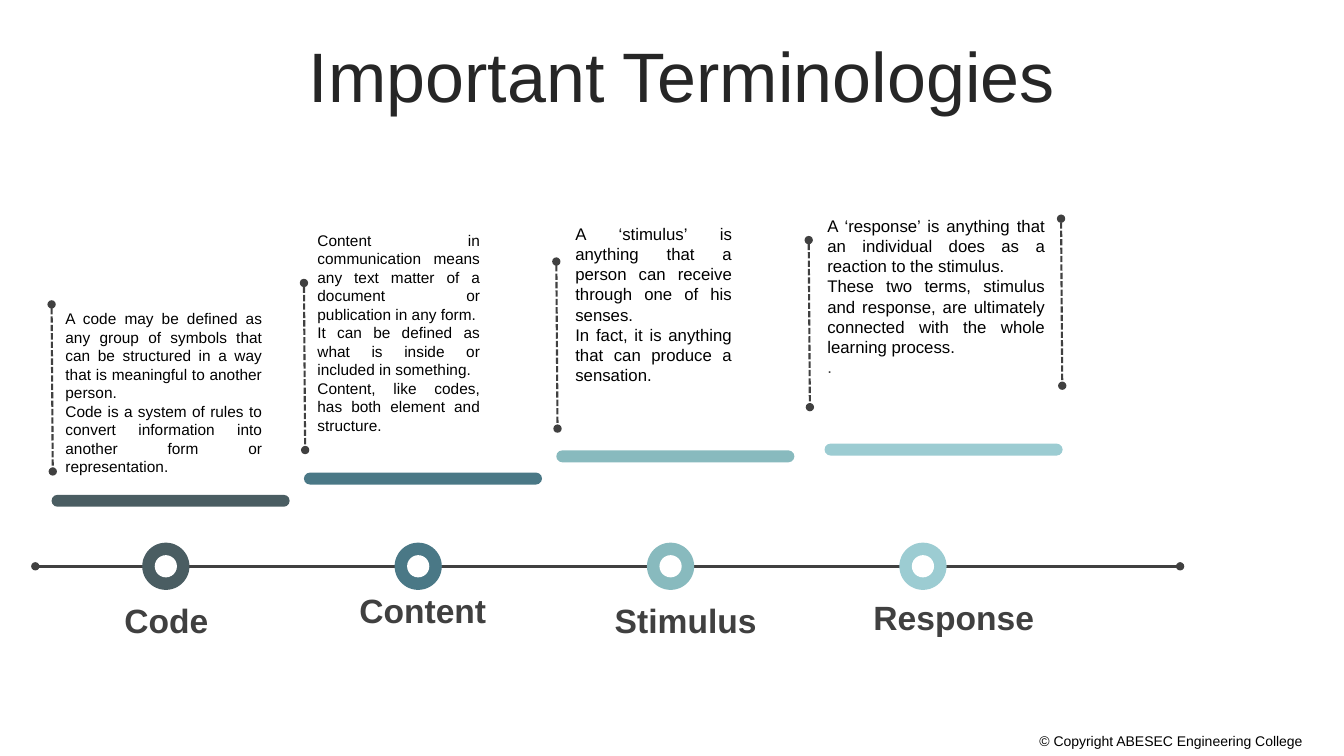
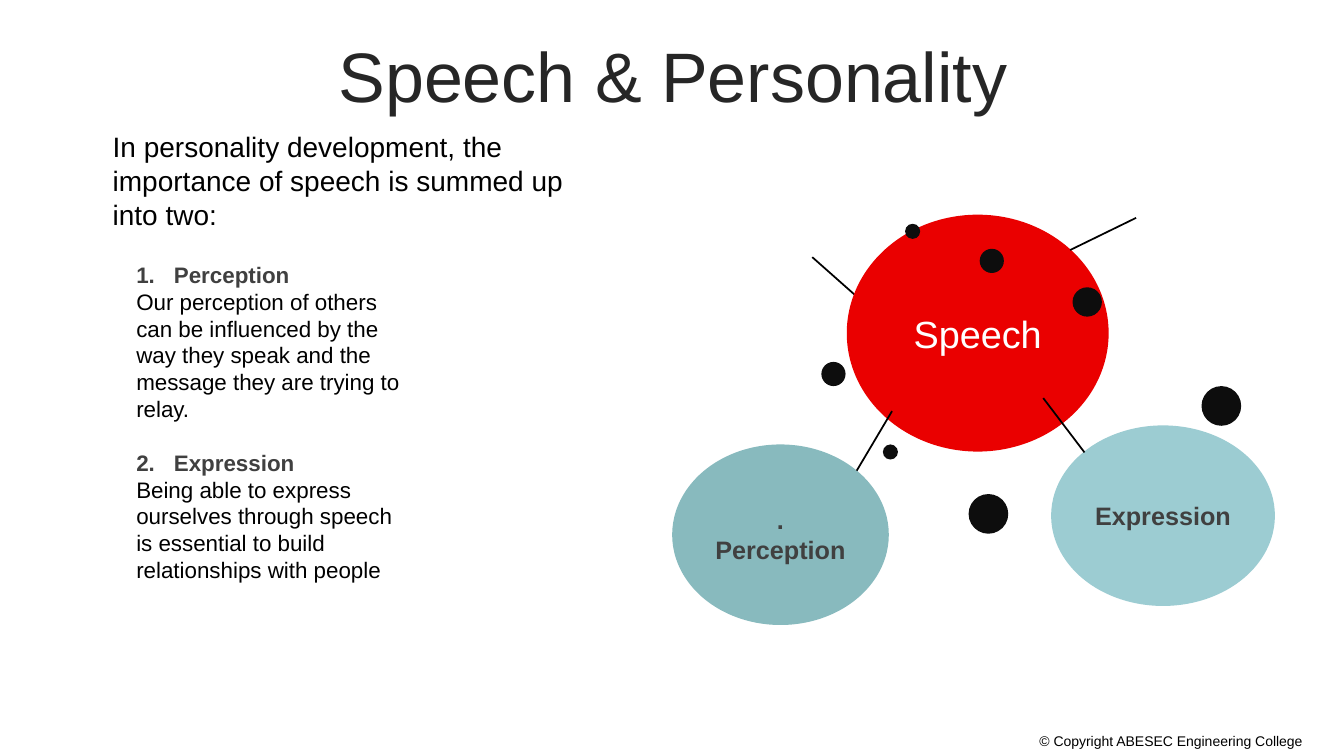
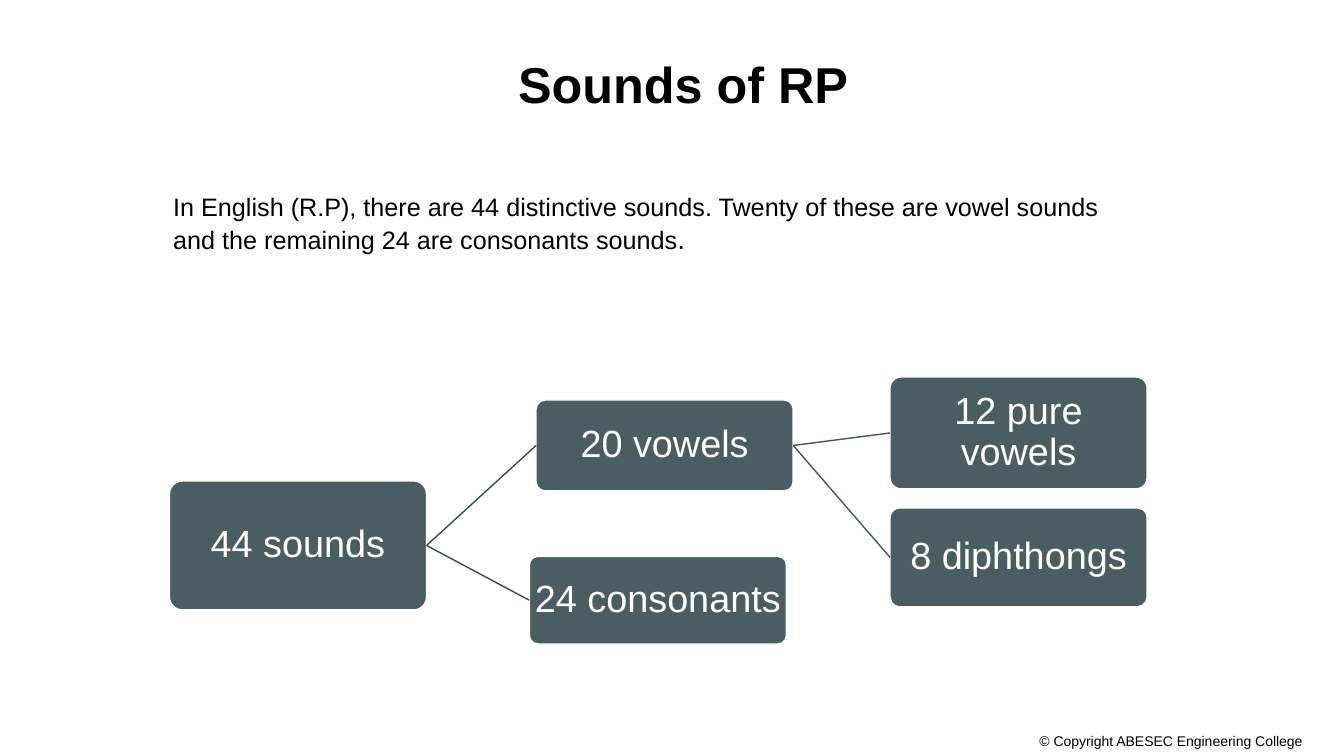
"""Build three communication-skills slides: terminologies, speech and sounds."""
from dataclasses import dataclass

import pptx
import pptx.dml.color
import pptx.enum.dml
import pptx.enum.shapes
import pptx.enum.text
import pptx.oxml.ns
import pptx.util
from lxml import etree

Cm = pptx.util.Cm
Pt = pptx.util.Pt
ALIGN = pptx.enum.text.PP_ALIGN
ANCHOR = pptx.enum.text.MSO_ANCHOR
SHAPE = pptx.enum.shapes.MSO_SHAPE
qn = pptx.oxml.ns.qn


@dataclass(frozen=True)
class Theme:
    """Colours, font and type sizes of the deck."""
    font: str = "Arial"
    black: str = "000000"
    white: str = "FFFFFF"
    title: str = "262626"
    grey: str = "404040"
    slate: str = "4A5D62"
    teal: str = "4A7886"
    sage: str = "88BABE"
    sky: str = "9CCCD2"
    red: str = "EA0000"
    dot: str = "0D0D0D"
    first_link: str = "3B4A4E"
    second_link: str = "435459"
    title_size: float = 50
    small_title_size: float = 36
    node_size: float = 27
    label_size: float = 24
    intro_size: float = 20
    text_size: float = 18
    list_size: float = 16
    note_size: float = 12
    small_note_size: float = 11
    footer_size: float = 10


THEME = Theme()


@dataclass(frozen=True)
class Milestone:
    """One term on the timeline with its label, bar and note."""
    name: str
    color: str
    label_top: float
    label_width: float
    bar_left: float
    bar_top: float
    note_box: tuple
    note_size: float
    note: tuple


PITCH = 6.36
STEM_LEFT = 1.3
MILESTONES = (
    Milestone("Code", THEME.slate, 15.11, 3.05, STEM_LEFT, 12.47,
              (1.4, 7.67, 5.46, 4.95), THEME.small_note_size,
              ("A code may be defined as any group of symbols that can be structured "
               "in a way that is meaningful to another person.",
               "Code is a system of rules to convert information into another form "
               "or representation.")),
    Milestone("Content", THEME.teal, 14.86, 3.25, STEM_LEFT + PITCH, 11.91,
              (7.75, 5.69, 4.6, 5.89), THEME.small_note_size,
              ("Content in communication means any text matter of a document or "
               "publication in any form.",
               "It can be defined as what is inside or included in something.",
               "Content, like codes, has both element and structure.")),
    Milestone("Stimulus", THEME.sage, 15.11, 3.78, STEM_LEFT + 2 * PITCH, 11.35,
              (14.25, 5.51, 4.45, 4.88), THEME.note_size,
              ("A ‘stimulus’ is anything that a person can receive through one of "
               "his senses.",
               "In fact, it is anything that can produce a sensation.")),
    Milestone("Response", THEME.sky, 15.04, 4.57, 20.78, 11.18,
              (20.6, 5.31, 5.99, 4.37), THEME.note_size,
              ("A ‘response’ is anything that an individual does as a reaction to "
               "the stimulus.",
               "These two terms, stimulus and response, are ultimately connected "
               "with the whole learning process.",
               ".")),
)


def rgb(color):
    """Turn a hex string into a colour."""
    return pptx.dml.color.RGBColor.from_string(color)


def lengths(box):
    """Turn a box in centimetres into lengths."""
    return [Cm(value) for value in box]


def add_run(para, text, size, color=THEME.black, bold=False):
    """Add one formatted run to a paragraph."""
    span = para.add_run()
    span.text = text
    span.font.name = THEME.font
    span.font.size = Pt(size)
    span.font.bold = bold
    span.font.color.rgb = rgb(color)


def new_para(frame, align=ALIGN.LEFT, space_before=0):
    """Return the empty first paragraph of a frame or a new one."""
    first = frame.paragraphs[0]
    para = frame.add_paragraph() if first.runs else first
    para.alignment = align
    para.space_before = Pt(space_before)
    return para


def set_bullet(para, number=None):
    """Number a paragraph, or remove its inherited bullet."""
    indent = Cm(0.95) if number else 0
    properties = para._p.get_or_add_pPr()
    properties.set("marL", str(indent))
    properties.set("indent", str(-indent))
    if number:
        etree.SubElement(properties, qn("a:buFont"), typeface="+mj-lt")
        etree.SubElement(properties, qn("a:buAutoNum"), type="arabicPeriod",
                         startAt=str(number))
    else:
        etree.SubElement(properties, qn("a:buNone"))


def add_box(slide, box):
    """Add a wrapping text box and return its frame's shape."""
    text_box = slide.shapes.add_textbox(*lengths(box))
    text_box.text_frame.word_wrap = True
    return text_box


def add_filled(slide, kind, box, color, outline=None):
    """Add a flat filled shape."""
    shape = slide.shapes.add_shape(kind, *lengths(box))
    shape.shadow.inherit = False
    shape.fill.solid()
    shape.fill.fore_color.rgb = rgb(color)
    if outline:
        shape.line.color.rgb = rgb(outline)
        shape.line.width = Pt(1)
    else:
        shape.line.fill.background()
    return shape


def label_shape(shape, text, size, color, bold=False):
    """Centre a label inside a shape."""
    frame = shape.text_frame
    frame.word_wrap = True
    frame.vertical_anchor = ANCHOR.MIDDLE
    para = new_para(frame, ALIGN.CENTER)
    add_run(para, text, size, color, bold)
    return para


def add_line(slide, start, end, color, width, dashed=False, oval_ends=False):
    """Add a straight line, optionally dashed and with round ends."""
    line = slide.shapes.add_connector(pptx.enum.shapes.MSO_CONNECTOR.STRAIGHT,
                                      *lengths(start + end))
    line.line.color.rgb = rgb(color)
    line.line.width = Pt(width)
    if dashed:
        line.line.dash_style = pptx.enum.dml.MSO_LINE.SQUARE_DOT
    if oval_ends:
        outline = line.line._get_or_add_ln()
        for tag in ("a:headEnd", "a:tailEnd"):
            etree.SubElement(outline, qn(tag), type="oval")
    etree.SubElement(line._element.spPr, qn("a:effectLst"))
    return line


def set_title(slide, text, size=THEME.title_size, color=THEME.title, bold=False,
              spacing=0.8, shift=(0, 0)):
    """Fill the title, shifted from its place on the master."""
    title = slide.shapes.title
    left, top, width, height = title.left, title.top, title.width, title.height
    title.left, title.top = left + Cm(shift[0]), top + Cm(shift[1])
    title.width, title.height = width, height
    title.text_frame.auto_size = pptx.enum.text.MSO_AUTO_SIZE.NONE
    para = label_shape(title, text, size, color, bold)
    para.line_spacing = spacing


def place_body(slide, box):
    """Move the body placeholder and return its text frame."""
    body = slide.placeholders[1]
    body.left, body.top, body.width, body.height = lengths(box)
    body.text_frame.word_wrap = True
    body.text_frame.auto_size = pptx.enum.text.MSO_AUTO_SIZE.NONE
    return body.text_frame


def set_up_master(deck, slide):
    """Place the title and the copyright line on the slide master."""
    master = deck.slide_master
    title = next(shape for shape in master.placeholders
                 if shape.placeholder_format.type
                 == pptx.enum.shapes.PP_PLACEHOLDER.TITLE)
    title.left, title.top, title.width, title.height = lengths((0.89, 1.07, 32.16, 2))
    footer = add_box(slide, (0.05, 18.34, 33.02, 0.69))
    add_run(new_para(footer.text_frame, ALIGN.RIGHT),
            "© Copyright ABESEC Engineering College", THEME.footer_size)
    master.shapes.element.append(footer.element)


def add_milestone(slide, index, item):
    """Draw the ring, label, bar and note of one term."""
    center_x, center_y = 4.18 + index * PITCH, 14.27
    for size, color in ((1.19, item.color), (0.56, THEME.white)):
        add_filled(slide, SHAPE.OVAL,
                   (center_x - size / 2, center_y - size / 2, size, size), color)
    label = add_box(slide, (center_x - 1.51, item.label_top, item.label_width, 1.02))
    frame = label.text_frame
    frame.margin_left = frame.margin_right = frame.margin_top = frame.margin_bottom = 0
    add_run(new_para(frame, ALIGN.CENTER), item.name, THEME.label_size, THEME.grey, True)
    bar = add_filled(slide, SHAPE.ROUNDED_RECTANGLE,
                     (item.bar_left, item.bar_top, 6, 0.3), item.color)
    bar.adjustments[0] = 0.5
    note = add_box(slide, item.note_box).text_frame
    for text in item.note:
        add_run(new_para(note, ALIGN.JUSTIFY), text, item.note_size,
                THEME.grey if text == "." else THEME.black)


def build_terminologies(slide):
    """Draw the timeline of four terms."""
    set_title(slide, "Important Terminologies", shift=(0.22, 0))
    add_line(slide, (0.89, 14.27), (29.74, 14.27), THEME.grey, 1.75, oval_ends=True)
    for index, item in enumerate(MILESTONES):
        add_milestone(slide, index, item)
    for index in range(len(MILESTONES) + 1):
        left, top = STEM_LEFT + index * PITCH, 7.67 - index * 0.54
        add_line(slide, (left, top), (left + 0.03, top + 4.21), THEME.grey, 1.5,
                 dashed=True, oval_ends=True)


def build_speech(slide):
    """Draw the speech diagram beside its numbered list."""
    set_title(slide, "Speech & Personality")
    add_line(slide, (20.47, 6.48), (22.48, 8.26), THEME.black, 1.25)
    ovals = (
        ("Speech", (21.34, 5.41, 6.6, 5.97), THEME.red, THEME.node_size, THEME.white, False),
        ("Expression", (26.49, 10.72, 5.64, 4.55), THEME.sky, THEME.text_size,
         THEME.grey, True),
        (". Perception", (16.94, 11.2, 5.46, 4.55), THEME.sage, THEME.text_size,
         THEME.grey, True),
    )
    for text, box, fill, size, color, bold in ovals:
        label_shape(add_filled(slide, SHAPE.OVAL, box, fill), text, size, color, bold)
    for start, end in (((21.59, 11.86), (22.48, 10.36)),
                       ((26.97, 6.3), (28.63, 5.49)),
                       ((26.29, 10.03), (27.33, 11.4))):
        add_line(slide, start, end, THEME.black, 1.25)
    for left, top, size in ((24.41, 12.45, 1), (27.03, 7.24, 0.74), (22.81, 5.64, 0.38),
                            (20.7, 9.12, 0.61), (30.28, 9.73, 1), (24.69, 6.27, 0.61),
                            (22.25, 11.2, 0.38)):
        add_filled(slide, SHAPE.OVAL, (left, top, size, size), THEME.dot)

    frame = place_body(slide, (3.18, 6.45, 7.47, 8.46))
    points = (
        ("Perception", "Our perception of others can be influenced by the way they speak "
                       "and the message they are trying to relay."),
        ("Expression", "Being able to express ourselves through speech is essential to "
                       "build relationships with people"),
    )
    for number, (heading, text) in enumerate(points, 1):
        para = new_para(frame, space_before=19 if number > 1 else 0)
        set_bullet(para, number)
        add_run(para, heading, THEME.list_size, THEME.grey, True)
        para = new_para(frame)
        set_bullet(para)
        add_run(para, text, THEME.list_size)
    intro = add_box(slide, (2.59, 3.15, 12.45, 5.38)).text_frame
    add_run(new_para(intro), "In personality development, the importance of speech is "
            "summed up into two:", THEME.intro_size)


def build_sounds(slide):
    """Draw the tree of English sounds."""
    set_title(slide, "Sounds of RP", THEME.small_title_size, THEME.black, True, 0.9,
              (0.25, 0.13))
    para = new_para(place_body(slide, (4.11, 4.7, 24.66, 1.88)))
    set_bullet(para)
    add_run(para, "In English (R.P), there are 44 distinctive sounds. Twenty of these are "
            "vowel sounds and the remaining 24 are consonants sounds", THEME.text_size)
    add_run(para, ".", THEME.intro_size)

    nodes = {}
    for text, left, top, height in (("44 sounds", 4.27, 12.12, 3.25),
                                    ("20 vowels", 13.51, 10.08, 2.29),
                                    ("12 pure vowels", 22.43, 9.5, 2.82),
                                    ("8 diphthongs", 22.43, 12.8, 2.49),
                                    ("24 consonants", 13.34, 14.02, 2.21)):
        node = add_filled(slide, SHAPE.ROUNDED_RECTANGLE, (left, top, 6.48, height),
                          THEME.slate, THEME.white)
        node.adjustments[0] = 0.1
        frame = node.text_frame
        frame.margin_left = frame.margin_right = Cm(0.05)
        frame.margin_top = frame.margin_bottom = Cm(0.05)
        label_shape(node, text, THEME.node_size, THEME.white).line_spacing = 0.9
        nodes[text] = node
    for parent, child, color in (("44 sounds", "20 vowels", THEME.first_link),
                                 ("44 sounds", "24 consonants", THEME.first_link),
                                 ("20 vowels", "12 pure vowels", THEME.second_link),
                                 ("20 vowels", "8 diphthongs", THEME.second_link)):
        link = add_line(slide, (0, 0), (1, 1), color, 1)
        link.begin_connect(nodes[parent], 3)
        link.end_connect(nodes[child], 1)


def main():
    """Build and save the deck."""
    deck = pptx.Presentation()
    deck.slide_width, deck.slide_height = Cm(33.87), Cm(19.05)
    title_and_body, title_only = deck.slide_layouts[1], deck.slide_layouts[5]
    pages = [deck.slides.add_slide(layout)
             for layout in (title_only, title_and_body, title_and_body)]
    set_up_master(deck, pages[0])
    for build, page in zip((build_terminologies, build_speech, build_sounds), pages):
        build(page)
    deck.save("out.pptx")


if __name__ == "__main__":
    main()
